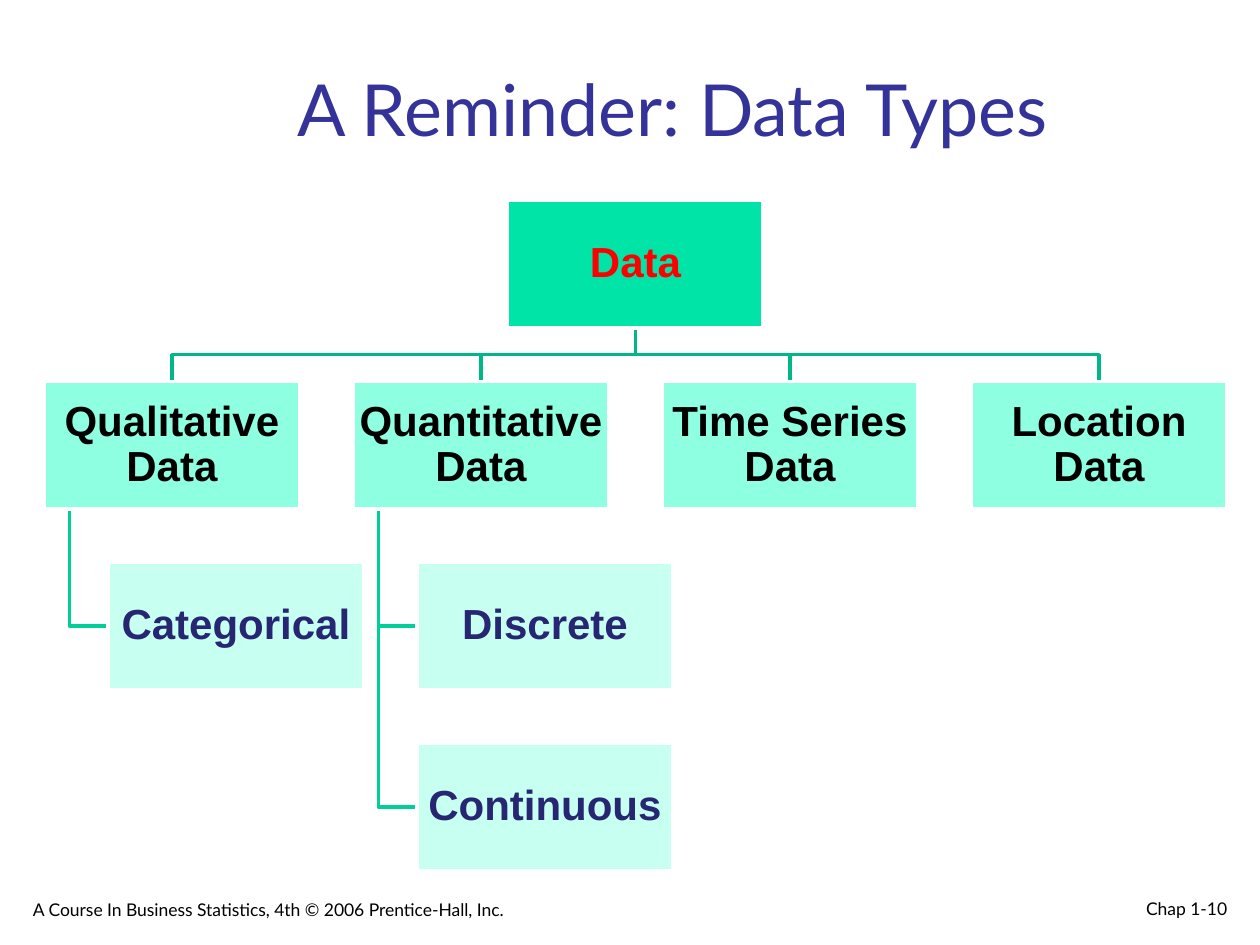
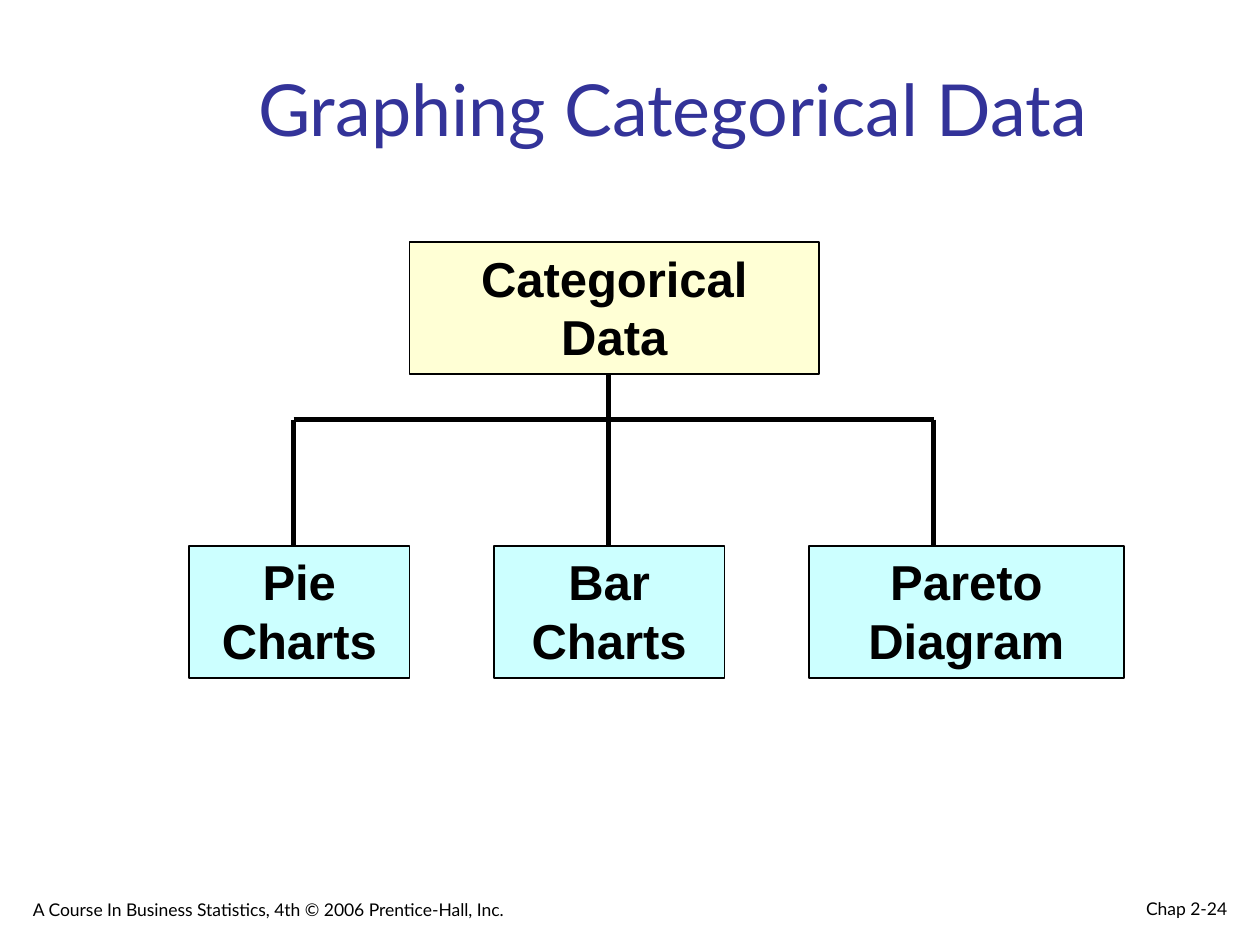
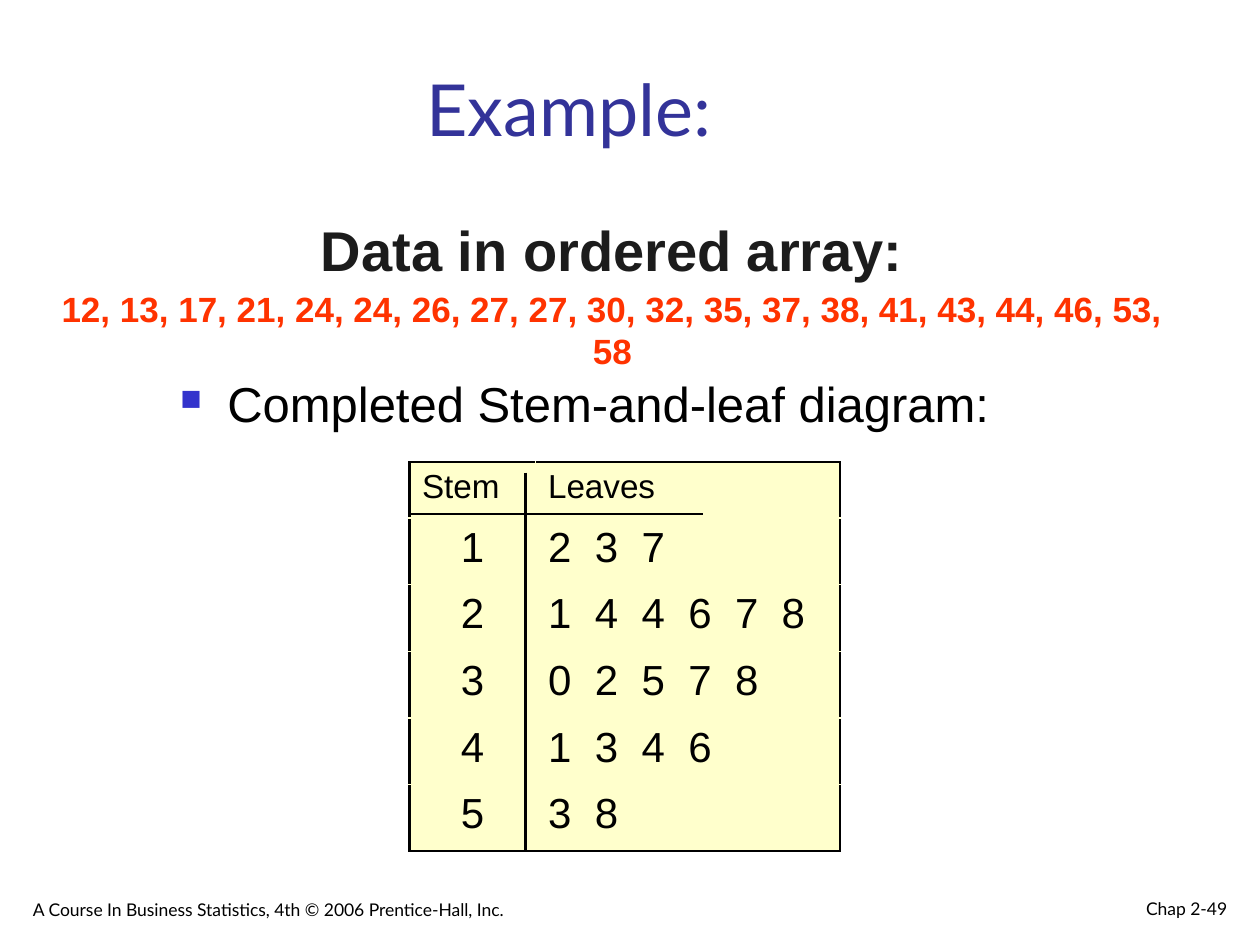
from lxml import etree
from pptx import Presentation
from pptx.dml.color import RGBColor
from pptx.enum.shapes import MSO_CONNECTOR, MSO_SHAPE
from pptx.enum.text import MSO_ANCHOR as ANCHOR, PP_ALIGN as ALIGN
from pptx.oxml import parse_xml
from pptx.oxml.ns import nsdecls, qn
from pptx.util import Pt

# Colours
BLACK = RGBColor(0x00, 0x00, 0x00)
WHITE = RGBColor(0xFF, 0xFF, 0xFF)
TITLE_BLUE = RGBColor(0x33, 0x33, 0x99)
BULLET_BLUE = RGBColor(0x33, 0x33, 0xCC)
NAVY = RGBColor(0x26, 0x26, 0x73)
RED = RGBColor(0xFF, 0x00, 0x00)
ORANGE = RGBColor(0xFF, 0x33, 0x00)
CHARCOAL = RGBColor(0x1C, 0x1C, 0x1C)
GREEN = RGBColor(0x00, 0xE4, 0xA8)
MINT = RGBColor(0x8E, 0xFF, 0xE1)
PALE_MINT = RGBColor(0xC7, 0xFF, 0xF0)
LINK_TOP = RGBColor(0x00, 0xB7, 0x87)
LINK_SUB = RGBColor(0x00, 0xCF, 0x98)
IVORY = RGBColor(0xFF, 0xFF, 0xD5)
CREAM = RGBColor(0xFF, 0xFF, 0xCC)
AQUA = RGBColor(0xCC, 0xFF, 0xFF)


def write(tf, text, size=24, color=BLACK, font="Arial", bold=False, align=ALIGN.LEFT,
          spacing=None, before=None, bullet=None, tab_step=None):
    """Add a formatted paragraph to a text frame, using the empty first one if free."""
    p = tf.paragraphs[0] if not tf.text else tf.add_paragraph()
    ppr = p._p.get_or_add_pPr()
    if bullet is not None:
        ppr.set("marL", str(Pt(27)))
        ppr.set("indent", str(-Pt(27)))
        for xml in (f'<a:buClr {nsdecls("a")}><a:srgbClr val="{bullet}"/></a:buClr>',
                    f'<a:buSzPct {nsdecls("a")} val="60000"/>',
                    f'<a:buChar {nsdecls("a")} char="■"/>'):
            ppr.append(parse_xml(xml))
    if tab_step:
        tabs = etree.SubElement(ppr, qn("a:tabLst"))
        for n in range(1, text.count("\t") + 1):
            etree.SubElement(tabs, qn("a:tab"), pos=str(Pt(n * tab_step)), algn="l")
    p.alignment = align
    if spacing:
        p.line_spacing = spacing
    if before:
        p.space_before = Pt(before)
    r = p.add_run()
    r.text = text
    r.font.size, r.font.name, r.font.bold = Pt(size), font, bold
    r.font.color.rgb = color


def add_box(s, x, y, w, h, fill=None, line=None, weight=1, anchor=ANCHOR.TOP, margin=None):
    """Add a filled rectangle or a plain text box and return its text frame."""
    box = [Pt(v) for v in (x, y, w, h)]
    if fill is None:
        sp = s.shapes.add_textbox(*box)
    else:
        sp = s.shapes.add_shape(MSO_SHAPE.RECTANGLE, *box)
        sp.shadow.inherit = False
        sp.fill.solid()
        sp.fill.fore_color.rgb = fill
        sp.line.color.rgb = line
        sp.line.width = Pt(weight)
    tf = sp.text_frame
    tf.word_wrap = True
    tf.vertical_anchor = anchor
    if margin is not None:
        tf.margin_left = tf.margin_right = Pt(margin)
    return tf


prs = Presentation()
prs.slide_width, prs.slide_height = Pt(720), Pt(540)

# Titles and footers
pages = [("A Reminder: Data Types", "Chap 1-10", 77.8, 613.4),
         ("Graphing Categorical Data", "Chap 2-24", 77.8, 613.4),
         ("Example:", "Chap 2-49", 159.5, 331.2)]
for title, number, x, w in pages:
    s = prs.slides.add_slide(prs.slide_layouts[6])
    write(add_box(s, 558, 504, 149.8, 24.5, anchor=ANCHOR.BOTTOM, margin=6.6),
          number, size=10, font="Lato", align=ALIGN.RIGHT)
    write(add_box(s, 12.2, 504, 365.8, 25.2, anchor=ANCHOR.BOTTOM, margin=6.6),
          "A Course In Business Statistics, 4th © 2006 Prentice-Hall, Inc.",
          size=10, font="Lato")
    write(add_box(s, x, 30.2, w, 59.8, anchor=ANCHOR.BOTTOM, margin=6.6),
          title, size=41, color=TITLE_BLUE, font="Lato", align=ALIGN.CENTER)
types_slide, graphs_slide, example_slide = prs.slides

# Slide 1: tree of data types
NODE_W, NODE_H = 146, 73
LEFT, COL_STEP = 25.2, 176.6
TOP, ROW_STEP = 114.5, 103.4
CHILD_INDENT, STEM_INDENT = 36.6, 14.4
tree = [("Qualitative Data", ["Categorical"]),
        ("Quantitative Data", ["Discrete", "Continuous"]),
        ("Time Series Data", []),
        ("Location Data", [])]
root_x = LEFT + 1.5 * COL_STEP
root_mid, root_bottom = root_x + NODE_W / 2, TOP + NODE_H
branch_y = TOP + ROW_STEP
bus_y = (root_bottom + branch_y) / 2

nodes, links = [("Data", root_x, TOP, GREEN, RED)], []
for col, (branch, children) in enumerate(tree):
    x = LEFT + col * COL_STEP
    mid, stem_x, child_x = x + NODE_W / 2, x + STEM_INDENT, x + CHILD_INDENT
    nodes.append((branch, x, branch_y, MINT, BLACK))
    links.append((LINK_TOP, [(root_mid, root_bottom), (root_mid, bus_y),
                             (mid, bus_y), (mid, branch_y)]))
    for row, child in enumerate(children, 1):
        y = branch_y + row * ROW_STEP
        child_mid = y + NODE_H / 2
        nodes.append((child, child_x, y, PALE_MINT, NAVY))
        links.append((LINK_SUB, [(stem_x, branch_y + NODE_H), (stem_x, child_mid),
                                 (child_x, child_mid)]))

for color, points in links:
    start, *rest = [(Pt(x), Pt(y)) for x, y in points]
    builder = types_slide.shapes.build_freeform(*start)
    builder.add_line_segments(rest, close=False)
    sp = builder.convert_to_shape()
    sp.shadow.inherit = False
    sp.fill.background()
    sp.line.color.rgb = color
    sp.line.width = Pt(2)
for label, x, y, fill, color in nodes:
    tf = add_box(types_slide, x, y, NODE_W, NODE_H, fill, WHITE, 2, ANCHOR.MIDDLE, 1.5)
    write(tf, label, color=color, bold=True, align=ALIGN.CENTER, spacing=0.9)

# Slide 2: graph choices
charts = [("Categorical Data", 234, 138.2, 234, IVORY),
          ("Pie Charts", 108, 311.8, 126, AQUA),
          ("Bar Charts", 282.2, 311.8, 131.8, AQUA),
          ("Pareto Diagram", 462.2, 311.8, 180, AQUA)]
for label, x, y, w, fill in charts:
    write(add_box(graphs_slide, x, y, w, 75.6, fill, BLACK), label,
          size=28, bold=True, align=ALIGN.CENTER)

# Slide 3: ordered array
write(add_box(example_slide, 95.8, 210.2, 534.2, 48.2),
      "Completed Stem-and-leaf diagram:", size=28, bullet=BULLET_BLUE)
tf = add_box(example_slide, 15.8, 119.5, 668.2, 73.4)
write(tf, "Data in ordered array:", size=32, color=CHARCOAL, bold=True, align=ALIGN.CENTER)
write(tf, "12, 13, 17, 21, 24, 24, 26, 27, 27, 30, 32, 35, 37, 38, 41, 43, 44, 46, 53, 58",
      size=20, color=ORANGE, bold=True, align=ALIGN.CENTER, before=3)

# Slide 3: stem-and-leaf table
leaves = {1: "237", 2: "144678", 3: "02578", 4: "1346", 5: "38"}
rows = [("Stem", "Leaves")] + [(str(k), "\t".join(v)) for k, v in leaves.items()]
table = example_slide.shapes.add_table(len(rows), 2, Pt(234), Pt(264.2),
                                       Pt(246.2), Pt(222.3)).table
table.first_row = table.horz_banding = False
table.columns[0].width, table.columns[1].width = Pt(72), Pt(174.2)
for i, row in enumerate(rows):
    table.rows[i].height = Pt(38.1 if i else 31.8)
    for j, text in enumerate(row):
        cell = table.cell(i, j)
        cell.fill.solid()
        cell.fill.fore_color.rgb = CREAM
        write(cell.text_frame, text, size=24 if i else 19, tab_step=26.7,
              align=ALIGN.CENTER if i and j == 0 else ALIGN.LEFT)
        outer = {"L": j == 0, "R": j == 1, "T": i == 0, "B": i == len(rows) - 1}
        for n, (side, is_outer) in enumerate(outer.items()):
            color, weight = (BLACK, 1.5) if is_outer else (CREAM, 1)
            cell._tc.get_or_add_tcPr().insert(n, parse_xml(
                f'<a:ln{side} {nsdecls("a")} w="{Pt(weight)}"><a:solidFill>'
                f'<a:srgbClr val="{color}"/></a:solidFill></a:ln{side}>'))

# Straight lines: chart links on slide 2, table rules on slide 3
lines = [(graphs_slide, 3, 347.8, 213.8, 347.8, 311.8),
         (graphs_slide, 3, 167.8, 239.8, 533.5, 239.8),
         (graphs_slide, 3, 167.8, 239.8, 167.8, 311.8),
         (graphs_slide, 3, 533.5, 239.8, 533.5, 311.8),
         (example_slide, 1.5, 234, 293.8, 401.8, 293.8),
         (example_slide, 1.5, 300.2, 270, 300.2, 486)]
for s, weight, *ends in lines:
    sp = s.shapes.add_connector(MSO_CONNECTOR.STRAIGHT, *[Pt(v) for v in ends])
    sp.line.color.rgb = BLACK
    sp.line.width = Pt(weight)
    etree.SubElement(sp._element.spPr, qn("a:effectLst"))

prs.save("out.pptx")
